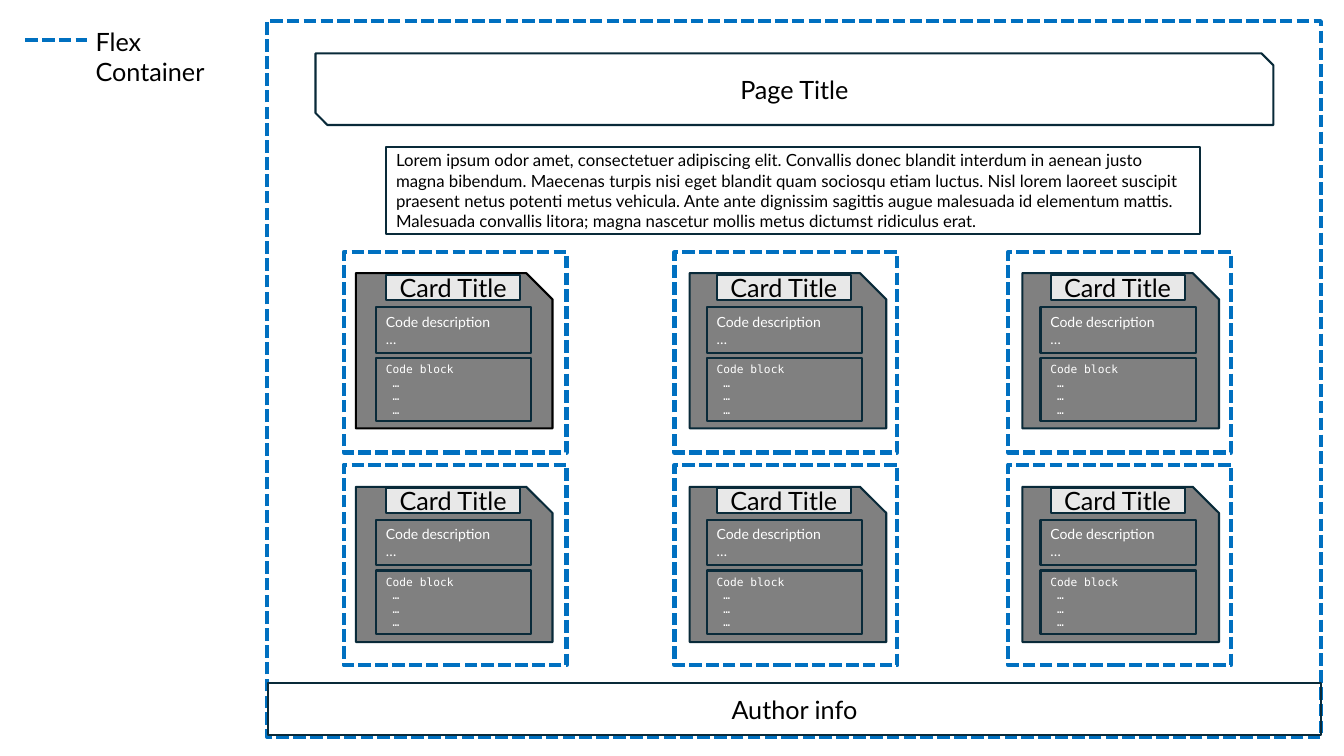
from pptx import Presentation
from pptx.dml.color import RGBColor
from pptx.enum import dml, shapes, text
from pptx.oxml import parse_xml
from pptx.oxml.ns import nsdecls
from pptx.util import Inches, Pt

PAGE_TITLE = "Page Title"
AUTHOR = "Author info"
LEGEND = "Flex Container"
INTRO = (
    "Lorem ipsum odor amet, consectetuer adipiscing elit. Convallis donec blandit "
    "interdum in aenean justo magna bibendum. Maecenas turpis nisi eget blandit quam "
    "sociosqu etiam luctus. Nisl lorem laoreet suscipit praesent netus potenti metus "
    "vehicula. Ante ante dignissim sagittis augue malesuada id elementum mattis. "
    "Malesuada convallis litora; magna nascetur mollis metus dictumst ridiculus erat."
)
# Parts of a card: left and top from its flex container, width, height, lines, style
CARD_PARTS = [
    (0.42, 0.23, 1.33, 0.25, ["Card Title"], "card_title"),
    (0.32, 0.55, 1.54, 0.45, ["Code description", "…"], "description"),
    (0.32, 1.05, 1.54, 0.63, ["Code block", " …", " …", " …"], "code"),
]
COLUMNS = [(3.41, 3.53), (6.69, 6.84), (10.0, 10.14)]  # container left, body left
ROWS = [(2.5, 2.71), (4.61, 4.83)]  # container top, body top
CONTAINER_SIZE = (2.21, 1.99)
BODY_SIZE = (1.95, 1.54)
BODY_SNIP = 0.26

THEME = {
    "flex": "0070C0", "outline": "092A39", "first_outline": "000000", "body": "808080",
    "flex_width": 3, "outline_width": 1.5,
    "heading": {"size": 18, "font": "Lato", "color": "000000", "align": "CENTER"},
    "legend": {"size": 18, "font": "Lato", "color": "000000", "align": "LEFT"},
    "intro": {"size": 12, "font": "Lato", "color": "000000", "align": "LEFT"},
    "card_title": {"size": 18, "font": "Lato", "color": "000000", "align": "CENTER",
                   "fill": "E8E8E8"},
    "description": {"size": 10, "font": "Lato", "color": "FFFFFF", "align": "LEFT",
                    "fill": "808080"},
    "code": {"size": 8, "font": "DejaVu Sans Mono", "color": "FFFFFF", "align": "LEFT",
             "fill": "808080"},
}

presentation = Presentation()
presentation.slide_width = Inches(13.33)
presentation.slide_height = Inches(7.5)
slide = presentation.slides.add_slide(presentation.slide_layouts[6])


def set_line(line, color, width, dash=None):
    line.color.rgb = RGBColor.from_string(color)
    line.width = Pt(width)
    if dash is not None:
        line.dash_style = dash


def set_flex_line(line):
    set_line(line, THEME["flex"], THEME["flex_width"], dml.MSO_LINE.SQUARE_DOT)


def set_fill(shape, color):
    if color:
        shape.fill.solid()
        shape.fill.fore_color.rgb = RGBColor.from_string(color)
    else:
        shape.fill.background()


def write(shape, lines, style):
    frame = shape.text_frame
    frame.word_wrap = True
    frame.text = "\n".join(lines)
    for paragraph in frame.paragraphs:
        paragraph.alignment = getattr(text.PP_ALIGN, style["align"])
        font = paragraph.runs[0].font
        for name, value in {"name": style["font"], "size": Pt(style["size"])}.items():
            setattr(font, name, value)
        font.color.rgb = RGBColor.from_string(style["color"])


def add_plain_shape(box, fill=None, kind=shapes.MSO_SHAPE.RECTANGLE):
    shape = slide.shapes.add_shape(kind, *map(Inches, box))
    shape.shadow.inherit = False
    set_fill(shape, fill)
    return shape


def add_container(box):
    set_flex_line(add_plain_shape(box).line)


def add_panel(box, lines, style_name, kind=shapes.MSO_SHAPE.RECTANGLE):
    style = THEME[style_name]
    shape = add_plain_shape(box, style.get("fill"), kind)
    set_line(shape.line, THEME["outline"], THEME["outline_width"])
    shape.text_frame.vertical_anchor = text.MSO_ANCHOR.MIDDLE
    write(shape, lines, style)


def add_card_body(left, top, outline):
    """Draw the grey card with its top right corner cut off."""
    right, bottom = left + BODY_SIZE[0], top + BODY_SIZE[1]
    corners = [(right - BODY_SNIP, top), (right, top + BODY_SNIP),
               (right, bottom), (left, bottom)]
    builder = slide.shapes.build_freeform(Inches(left), Inches(top))
    builder.add_line_segments([(Inches(x), Inches(y)) for x, y in corners], close=True)
    body = builder.convert_to_shape()
    body.shadow.inherit = False
    set_fill(body, THEME["body"])
    set_line(body.line, outline, THEME["outline_width"])


def add_legend():
    key = slide.shapes.add_connector(
        shapes.MSO_CONNECTOR.STRAIGHT, Inches(0.25), Inches(0.4), Inches(0.86), Inches(0.4))
    set_flex_line(key.line)
    key._element.spPr.append(parse_xml(f"<a:effectLst {nsdecls('a')}/>"))
    label = slide.shapes.add_textbox(*map(Inches, (0.85, 0.21, 1.51, 0.71)))
    write(label, [LEGEND], THEME["legend"])


add_container((2.65, 0.21, 10.45, 7.1))
add_panel((3.13, 0.53, 9.5, 0.71), [PAGE_TITLE], "heading",
          shapes.MSO_SHAPE.SNIP_2_DIAG_RECTANGLE)
add_panel((2.66, 6.78, 10.44, 0.51), [AUTHOR], "heading")
add_panel((3.83, 1.46, 8.07, 0.86), [INTRO], "intro")
add_legend()

for row, (top, body_top) in enumerate(ROWS):
    for column, (left, body_left) in enumerate(COLUMNS):
        is_first = row == column == 0
        add_card_body(body_left, body_top, THEME["first_outline" if is_first else "outline"])
        for dx, dy, width, height, lines, style_name in CARD_PARTS:
            add_panel((left + dx, top + dy, width, height), lines, style_name)
        add_container((left, top, *CONTAINER_SIZE))

presentation.save("out.pptx")
